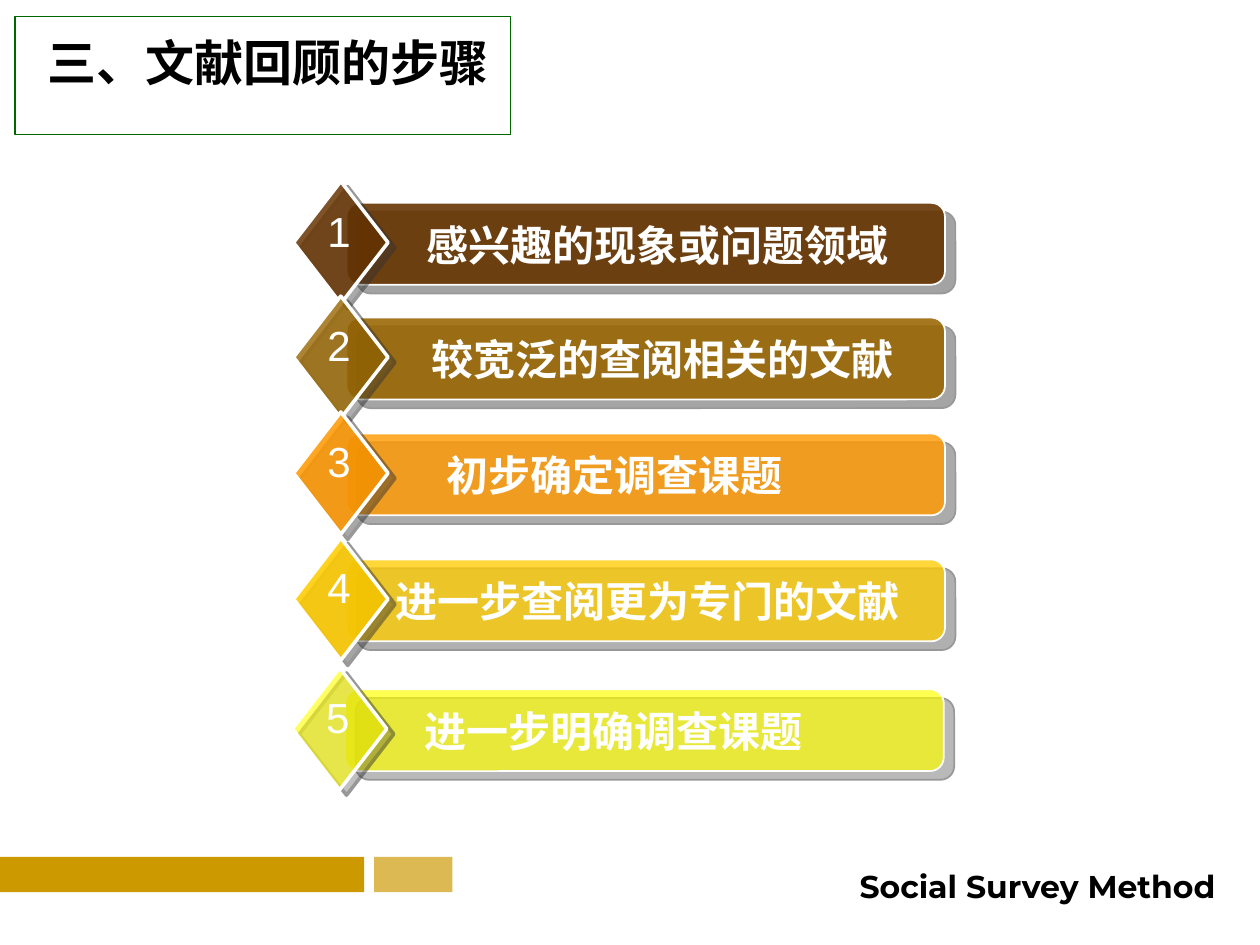
from lxml import etree
from pptx import Presentation
from pptx.dml.color import RGBColor
from pptx.enum.shapes import MSO_SHAPE
from pptx.enum.text import MSO_ANCHOR, MSO_AUTO_SIZE, PP_ALIGN
from pptx.oxml.ns import qn
from pptx.util import Inches, Pt

RECTANGLE = MSO_SHAPE.RECTANGLE
ROUNDED = MSO_SHAPE.ROUNDED_RECTANGLE
DIAMOND = MSO_SHAPE.DIAMOND
LEFT, CENTER = PP_ALIGN.LEFT, PP_ALIGN.CENTER
TOP = MSO_ANCHOR.TOP
NO_FIT = MSO_AUTO_SIZE.NONE

WHITE = RGBColor(0xFF, 0xFF, 0xFF)
BLACK = RGBColor(0x00, 0x00, 0x00)
GREEN = RGBColor(0x00, 0x66, 0x00)
GOLD = RGBColor(0xCC, 0x99, 0x00)
DARK_BROWN = RGBColor(0x66, 0x33, 0x00)
BROWN = RGBColor(0x99, 0x66, 0x00)
ORANGE = RGBColor(0xFF, 0x99, 0x00)
AMBER = RGBColor(0xFF, 0xCC, 0x00)
YELLOW = RGBColor(0xFF, 0xFF, 0x00)
SHADOW = RGBColor(0x33, 0x33, 0x33)

STEP_LEFT = 2.75
STEPS = [
    ("感兴趣的现象或问题领域", STEP_LEFT, 1.61, 4.44, DARK_BROWN, 89, 84),
    ("较宽泛的查阅相关的文献", STEP_LEFT, 2.52, 4.52, BROWN, 88, 80),
    ("初步确定调查课题", STEP_LEFT, 3.44, 3.75, ORANGE, 81, 86),
    ("进一步查阅更为专门的文献", STEP_LEFT, 4.44, 4.28, AMBER, 77, 88),
    ("进一步明确调查课题", STEP_LEFT - 0.01, 5.47, 3.75, YELLOW, 68, 61),
]


def add_alpha(color_element, percent):
    """Give a colour element an opacity in percent."""
    etree.SubElement(color_element, qn("a:alpha"), val=str(percent * 1000))


def add_box(slide, kind, box, fill=None, opacity=100, line=None, width=1):
    """Add a preset shape with an optional fill and outline."""
    shape = slide.shapes.add_shape(kind, *map(Inches, box))
    shape.shadow.inherit = False
    if fill is None:
        shape.fill.background()
    else:
        shape.fill.solid()
        shape.fill.fore_color.rgb = fill
        if opacity < 100:
            add_alpha(shape.fill._xPr.find(".//" + qn("a:srgbClr")), opacity)
    if line is None:
        shape.line.fill.background()
    else:
        shape.line.color.rgb = line
        shape.line.width = Pt(width)
    return shape


def add_shadow(shape, distance, angle):
    """Give a shape a hard, half-transparent offset shadow."""
    effects = shape._element.spPr.find(qn("a:effectLst"))
    shadow = etree.SubElement(
        effects, qn("a:outerShdw"), dist=str(Pt(distance)),
        dir=str(angle * 60000), algn="ctr", rotWithShape="0")
    color = etree.SubElement(shadow, qn("a:srgbClr"), val=str(SHADOW))
    add_alpha(color, 50)


def format_text(shape, text, size, color, bold, align, font="Arial", wrap=True):
    """Fill a text shape with one formatted paragraph."""
    frame = shape.text_frame
    frame.text = text
    frame.word_wrap = wrap
    frame.auto_size = NO_FIT
    frame.vertical_anchor = TOP
    paragraph = frame.paragraphs[0]
    paragraph.alignment = align
    run_font = paragraph.runs[0].font
    run_font.name = font
    run_font.size = Pt(size)
    run_font.bold = bold
    run_font.color.rgb = color


def add_text(slide, box, *args, **options):
    """Add a text box with one formatted paragraph."""
    shape = slide.shapes.add_textbox(*map(Inches, box))
    format_text(shape, *args, **options)


def add_title(slide, text):
    """Place the title and its green frame."""
    title = slide.shapes.title
    title.left, title.top = Inches(0.28), Inches(0.21)
    title.width, title.height = Inches(4.33), Inches(0.57)
    format_text(title, text, 28, BLACK, True, LEFT)
    add_box(slide, RECTANGLE, (0.12, 0.13, 3.93, 0.94), line=GREEN, width=0.75)


def add_step(slide, number, step):
    """Add one step: bar, diamond, label and number."""
    label, left, top, label_width, color, bar_opacity, diamond_opacity = step
    bar = add_box(slide, ROUNDED, (left, top, 4.75, 0.65), color, bar_opacity, WHITE)
    add_shadow(bar, 7.8, 40)
    diamond = add_box(slide, DIAMOND, (left - 0.42, top - 0.17, 0.75, 0.97),
                      color, diamond_opacity, WHITE, 2)
    add_shadow(diamond, 5, 37)
    add_text(slide, (left + 0.25, top + 0.08, label_width, 0.5),
             label, 24, WHITE, True, CENTER)
    add_text(slide, (left - 0.25, top - 0.03, 0.38, 0.5),
             str(number), 24, WHITE, False, CENTER, wrap=False)


def add_footer(slide):
    """Add the gold strips and the course name."""
    add_box(slide, RECTANGLE, (0, 6.8, 2.89, 0.28), GOLD)
    add_box(slide, RECTANGLE, (2.97, 6.8, 0.62, 0.28), GOLD, 68)
    add_text(slide, (6.57, 6.83, 3.33, 0.33), "Social Survey Method",
             18, BLACK, True, CENTER, font="Montserrat", wrap=False)


def main():
    """Build and save the slide."""
    presentation = Presentation()
    presentation.slide_width = Inches(10)
    presentation.slide_height = Inches(7.5)
    slide = presentation.slides.add_slide(presentation.slide_layouts[5])
    add_footer(slide)
    add_title(slide, "三、文献回顾的步骤")
    for number, step in enumerate(STEPS, 1):
        add_step(slide, number, step)
    presentation.save("out.pptx")


if __name__ == "__main__":
    main()
